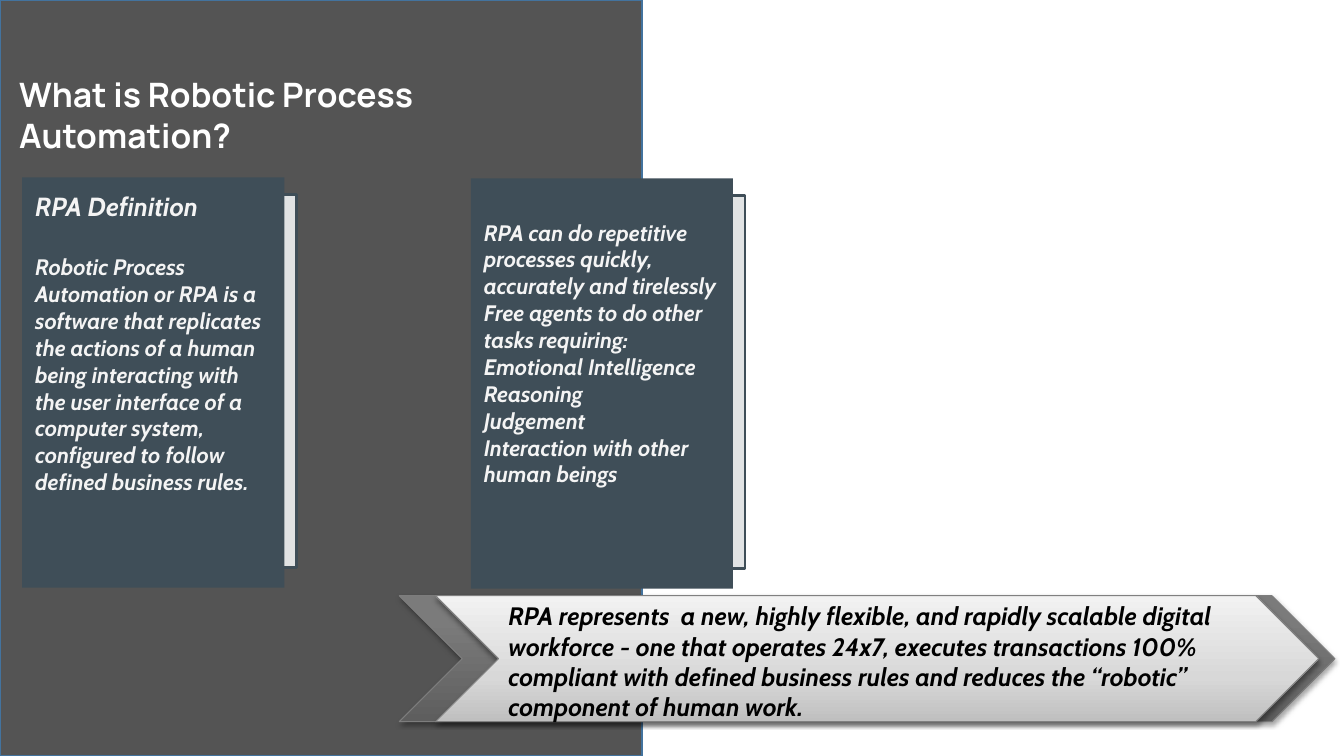
from copy import deepcopy

from lxml.etree import SubElement
from pptx import Presentation
from pptx.dml.color import RGBColor
from pptx.enum.shapes import MSO_SHAPE as Shape
from pptx.enum.text import MSO_ANCHOR as Anchor, PP_ALIGN as Align
from pptx.oxml.ns import qn
from pptx.util import Pt

PX = 9144  # EMU per px, 100 px to the inch
PT = 12700  # EMU per point

BLACK = RGBColor(0x00, 0x00, 0x00)
WHITE = RGBColor(0xFF, 0xFF, 0xFF)
PALE = RGBColor(0xF4, 0xF4, 0xF4)
SLATE = RGBColor(0x3F, 0x4E, 0x58)
TAB_GREY = RGBColor(0xE1, 0xE3, 0xE4)
PANEL_EDGE = RGBColor(0x43, 0x73, 0x9E)
DARK_EDGE = RGBColor(0x7D, 0x7D, 0x7D)
LIGHT_EDGE = RGBColor(0x80, 0x80, 0x80)
DARK_STOPS = [(0, RGBColor(0x5E, 0x5E, 0x5E)), (0.8, RGBColor(0x7B, 0x7B, 0x7B)),
              (1, RGBColor(0x7C, 0x7C, 0x7C))]
LIGHT_STOPS = [(0, RGBColor(0xBF, 0xBF, 0xBF)), (0.35, RGBColor(0xD8, 0xD8, 0xD8)),
               (1, RGBColor(0xF2, 0xF2, 0xF2))]

TITLE = "What is Robotic Process Automation?"
DEFINITION = [
    ("RPA Definition", 18.7),
    ("Robotic Process Automation or RPA is a software that replicates the actions of a "
     "human being interacting with the user interface of a computer system, configured "
     "to follow defined business rules.", 16),
]
BENEFITS = [(line, 16) for line in (
    "RPA can do repetitive processes quickly, accurately and tirelessly "
    "Free agents to do other tasks requiring:",
    "Emotional Intelligence",
    "Reasoning",
    "Judgement",
    "Interaction with other human beings",
)]
SUMMARY = [(
    "RPA represents  a new, highly flexible, and rapidly scalable digital workforce - one "
    "that operates 24x7, executes transactions 100% compliant with defined business rules "
    "and reduces the “robotic” component of human work.", 18)]


def emu(box):
    return [length * PX for length in box]


def add_block(slide, kind, box, edge=None, edge_width=1):
    block = slide.shapes.add_shape(kind, *emu(box))
    block.shadow.inherit = False
    if edge is None:
        block.line.fill.background()
    else:
        block.line.color.rgb = edge
        block.line.width = Pt(edge_width)
    return block


def fill_solid(block, color):
    block.fill.solid()
    block.fill.fore_color.rgb = color


def write(holder, paragraphs, font_name, color, insets, anchor=Anchor.TOP, italic=True):
    frame = holder.text_frame
    frame.word_wrap = True
    frame.vertical_anchor = anchor
    (frame.margin_left, frame.margin_top,
     frame.margin_right, frame.margin_bottom) = emu(insets)
    for index, (text, size) in enumerate(paragraphs):
        paragraph = frame.add_paragraph() if index else frame.paragraphs[0]
        paragraph.text = text
        paragraph.alignment = Align.LEFT
        font = paragraph.font
        font.name, font.size, font.bold, font.italic = font_name, Pt(size), True, italic
        font.color.rgb = color


# Dark see-through panel with the title
def add_title_panel(slide, box):
    left, top, width, height = box
    panel = add_block(slide, Shape.RECTANGLE, box, PANEL_EDGE)
    fill_solid(panel, BLACK)
    tint = panel._element.spPr.find(qn("a:solidFill"))[0]
    SubElement(tint, qn("a:alpha"), val="67000")

    title = slide.shapes.add_textbox(*emu((left + 6, top + 51, 584, 125)))
    write(title, [(TITLE, 24)], "Manrope", WHITE, (13, 13, 13, 13), Anchor.MIDDLE, False)


# Slate card with a pale tab showing behind its right side
def add_card(slide, box, paragraphs, top_inset=13):
    left, top, width, height = box
    tab = add_block(slide, Shape.RECTANGLE,
                    (left + width - 62, top + 17, 74, height - 37), SLATE, 2)
    fill_solid(tab, TAB_GREY)
    card = add_block(slide, Shape.RECTANGLE, box)
    fill_solid(card, SLATE)
    write(card, paragraphs, "Cabin", PALE, (13, top_inset, 13, 13))
    return card


def add_chevron(slide, box, stops, edge, shade):
    chevron = add_block(slide, Shape.CHEVRON, box, edge, 0.75)
    chevron.adjustments[0] = 0.5
    chevron.fill.gradient()
    chevron.fill.gradient_angle = 90
    properties = chevron._element.spPr
    stop_list = properties.find(qn("a:gradFill")).find(qn("a:gsLst"))
    stop_list.append(deepcopy(stop_list[0]))
    for stop, (position, color) in zip(chevron.fill.gradient_stops, stops):
        stop.position = position
        stop.color.rgb = color

    # Soft shadow straight below
    alpha, distance = shade
    shadow = SubElement(properties.find(qn("a:effectLst")), qn("a:outerShdw"),
                        blurRad=str(round(3.1 * PT)), dist=str(round(distance * PT)),
                        dir="5400000", rotWithShape="0")
    shadow_color = SubElement(shadow, qn("a:srgbClr"), val=str(BLACK))
    SubElement(shadow_color, qn("a:alpha"), val=str(alpha * 1000))
    return chevron


# Summary arrow: light chevron over a longer dark one
def add_summary_arrow(slide, box):
    left, top, width, height = box
    add_chevron(slide, box, DARK_STOPS, DARK_EDGE, (35, 1.8))
    front = add_chevron(slide, (left + 36, top, width - 52, height),
                        LIGHT_STOPS, LIGHT_EDGE, (38, 1.6))
    write(front, SUMMARY, "Cabin", BLACK, (10, 5, 10, 5))


def main():
    deck = Presentation()
    deck.slide_width, deck.slide_height = emu((1333, 750))
    slide = deck.slides.add_slide(deck.slide_layouts[6])

    add_title_panel(slide, (0, 0, 637, 750))
    definition = add_card(slide, (22, 176, 260, 407), DEFINITION)
    definition.text_frame.paragraphs[0].space_after = Pt(22.5)
    add_card(slide, (467, 177, 260, 407), BENEFITS, top_inset=40)
    add_summary_arrow(slide, (396, 591, 928, 125))

    deck.save("out.pptx")


if __name__ == "__main__":
    main()
